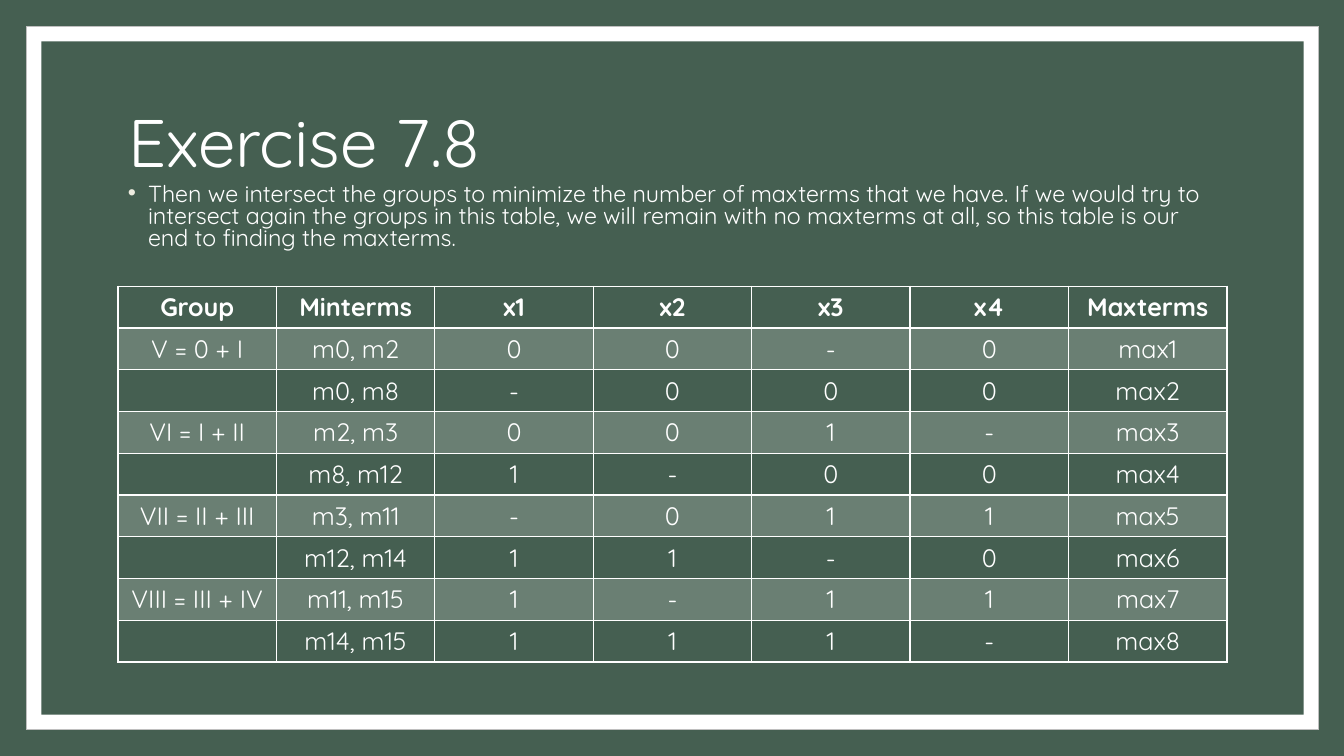
from lxml import etree
from pptx import Presentation
from pptx.dml.color import RGBColor
from pptx.enum.shapes import MSO_SHAPE
from pptx.enum.text import MSO_ANCHOR, MSO_AUTO_SIZE, PP_ALIGN
from pptx.oxml.ns import qn
from pptx.util import Inches, Pt

RECT = MSO_SHAPE.RECTANGLE
MIDDLE = MSO_ANCHOR.MIDDLE
FIXED = MSO_AUTO_SIZE.NONE
LEFT, CENTER = PP_ALIGN.LEFT, PP_ALIGN.CENTER

GREEN = RGBColor(0x45, 0x5F, 0x51)
WHITE = RGBColor(0xFF, 0xFF, 0xFF)
GREY = RGBColor(0xBF, 0xBF, 0xBF)
CREAM = RGBColor(0xEE, 0xEC, 0xE0)

TITLE = "Exercise 7.8"
BODY = (
    "Then we intersect the groups to minimize the number of maxterms that we have. "
    "If we would try to intersect again the groups in this table, we will remain "
    "with no maxterms at all, so this table is our end to finding the maxterms."
)
HEAD = ["Group", "Minterms", "x1", "x2", "x3", "x4", "Maxterms"]
TERMS = [
    ("V = 0 + I", "m0, m2", "00-0"),
    ("", "m0, m8", "-000"),
    ("VI = I + II", "m2, m3", "001-"),
    ("", "m8, m12", "1-00"),
    ("VII = II + III", "m3, m11", "-011"),
    ("", "m12, m14", "11-0"),
    ("VIII = III + IV", "m11, m15", "1-11"),
    ("", "m14, m15", "111-"),
]


def write(frame, text, size=18, bold=False, align=LEFT, lines=None, before=None):
    para = frame.paragraphs[0]
    para.alignment = align
    if lines:
        para.line_spacing = lines
    if before:
        para.space_before = Pt(before)
    if text:
        run = para.add_run()
        run.text = text
        run.font.name = "Quicksand"
        run.font.size = Pt(size)
        run.font.bold = bold
        run.font.color.rgb = WHITE
    return para


def add_node(parent, tag, **attrs):
    return etree.SubElement(parent, qn(tag), attrs)


class Deck:
    def __init__(self, prs):
        self.slide = prs.slides.add_slide(prs.slide_layouts[5])
        fill = self.slide.background.fill
        fill.solid()
        fill.fore_color.rgb = GREEN

    def panel(self, inset, color, line=None):
        side = Inches(inset)
        shape = self.slide.shapes.add_shape(
            RECT, side, side, Inches(13.34 - 2 * inset), Inches(7.5 - 2 * inset))
        shape.shadow.inherit = False
        shape.fill.solid()
        shape.fill.fore_color.rgb = color
        if line:
            shape.line.color.rgb = line
            shape.line.width = Pt(0.5)
        else:
            shape.line.fill.background()

    def title(self, text, left, top, width, height):
        shape = self.slide.shapes.title
        shape.left, shape.top = Inches(left), Inches(top)
        shape.width, shape.height = Inches(width), Inches(height)
        shape.element.getparent().append(shape.element)
        frame = shape.text_frame
        frame.auto_size = FIXED
        frame.word_wrap = True
        frame.vertical_anchor = MIDDLE
        write(frame, text, size=48, lines=0.9)

    def bullet(self, text, left, top, width, height):
        box = self.slide.shapes.add_textbox(
            Inches(left), Inches(top), Inches(width), Inches(height))
        box.text_frame.word_wrap = True
        para = write(box.text_frame, text, size=16.6, lines=0.8, before=9)
        props = para._p.get_or_add_pPr()
        props.set("marL", str(Inches(0.2)))
        props.set("indent", str(Inches(-0.2)))
        color = add_node(props, "a:buClr")
        add_node(color, "a:srgbClr", val=str(CREAM))
        add_node(props, "a:buFont", typeface="Arial")
        add_node(props, "a:buChar", char="•")

    def border(self, cell, row):
        props = cell._tc.get_or_add_tcPr()
        widths = {"L": 1, "R": 1, "T": 2 if row == 1 else 1, "B": 2 if row == 0 else 1}
        for side, width in widths.items():
            line = add_node(props, f"a:ln{side}", w=str(Pt(width)))
            fill = add_node(line, "a:solidFill")
            add_node(fill, "a:srgbClr", val=str(WHITE))

    def shade(self, cell, tint):
        if not tint:
            cell.fill.background()
            return
        cell.fill.solid()
        cell.fill.fore_color.rgb = WHITE
        color = cell._tc.get_or_add_tcPr().find(qn("a:solidFill"))[0]
        add_node(color, "a:alpha", val="20000")

    def table(self, rows, left, top, width, height):
        table = self.slide.shapes.add_table(
            len(rows), len(rows[0]), Inches(left), Inches(top),
            Inches(width), Inches(height)).table
        table.horz_banding = False
        for r, row in enumerate(rows):
            for c, text in enumerate(row):
                cell = table.cell(r, c)
                write(cell.text_frame, text, bold=r == 0, align=CENTER)
                self.border(cell, r)
                self.shade(cell, r % 2 == 1)


def main():
    prs = Presentation()
    prs.slide_width, prs.slide_height = Inches(13.33), Inches(7.5)
    deck = Deck(prs)
    deck.panel(0.26, WHITE, line=GREY)
    deck.panel(0.41, GREEN)
    deck.title(TITLE, 1.17, 0.7, 11, 1.5)
    deck.bullet(BODY, 1.17, 1.78, 11, 0.85)
    rows = [HEAD] + [
        [group, mins, *bits, f"max{n}"]
        for n, (group, mins, bits) in enumerate(TERMS, 1)
    ]
    deck.table(rows, 1.17, 2.84, 11, 3.73)
    prs.save("out.pptx")


if __name__ == "__main__":
    main()
